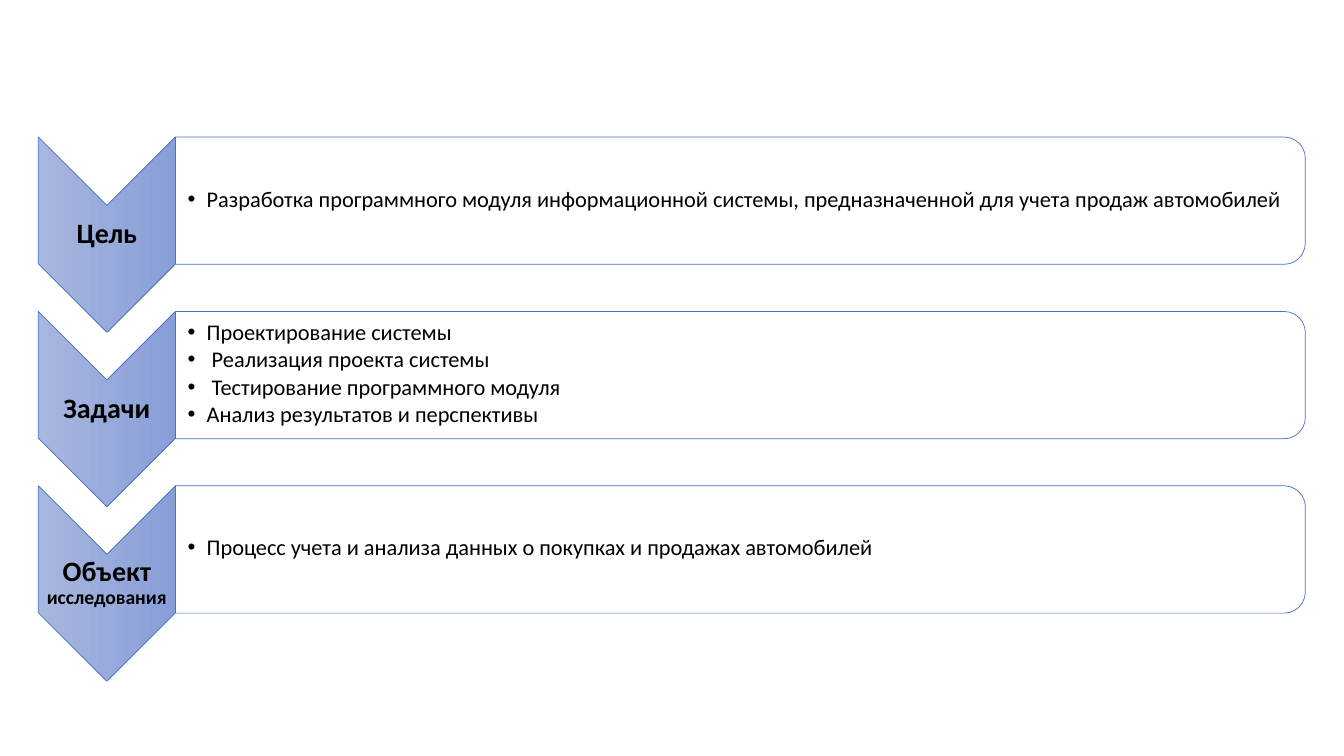
from lxml import etree
from pptx import Presentation
from pptx import util as u
from pptx.dml.color import RGBColor
from pptx.enum import shapes, text
from pptx.oxml.ns import qn

COLORS = {"line": "4472C4", "start": "A8B7DF", "end": "889ED7", "panel": "FFFFFF", "text": "000000"}
FONT = "Calibri"
LEFT, TOP, COLUMN, ROW = 0.38, 1.36, 1.36, 1.73


def color(name):
    return RGBColor.from_string(COLORS[name])


def write(para, words, size=16, bold=False, align=text.PP_ALIGN.LEFT, after=2.4, bullet=None):
    para.alignment = align
    para.line_spacing = 0.9
    para.space_after = u.Pt(after)
    if bullet:
        props = para._p.get_or_add_pPr()
        indent = u.Inches(0.19)
        props.set("marL", str(indent))
        props.set("indent", str(-indent))
        etree.SubElement(props, qn("a:buFont")).set("typeface", "Arial")
        etree.SubElement(props, qn("a:buChar")).set("char", bullet)
    span = para.add_run()
    span.text = words
    span.font.name = FONT
    span.font.size = u.Pt(size)
    span.font.bold = bold
    span.font.color.rgb = color("text")


class Board:
    def __init__(self, deck):
        self.page = deck.slides.add_slide(deck.slide_layouts[6])

    def place(self, column, row, columns, rows):
        return [u.Inches(v) for v in (LEFT + column * COLUMN, TOP + row * ROW, columns * COLUMN, rows * ROW)]

    def turned(self, kind, *cells):
        left, top, width, height = self.place(*cells)
        shift = (width - height) // 2
        shape = self.page.shapes.add_shape(kind, left + shift, top - shift, height, width)
        shape.rotation = 90
        shape.shadow.inherit = False
        shape.line.color.rgb = color("line")
        shape.line.width = u.Pt(0.5)
        return shape

    def chevron(self, row):
        shape = self.turned(shapes.MSO_SHAPE.CHEVRON, 0, row, 1, 1.12)
        shape.fill.gradient()
        shape.fill.gradient_angle = 0
        for stop, name in zip(shape.fill.gradient_stops, ("start", "end")):
            stop.color.rgb = color(name)
        shape._element.spPr.find(qn("a:gradFill")).set("rotWithShape", "0")

    def panel(self, row):
        shape = self.turned(shapes.MSO_SHAPE.ROUND_2_SAME_RECTANGLE, 1, row, 8.24, 0.73)
        shape.fill.solid()
        shape.fill.fore_color.rgb = color("panel")
        fill = shape._element.spPr.find(qn("a:solidFill"))
        etree.SubElement(fill[0], qn("a:alpha")).set("val", "90000")

    def box(self, *cells, inset=0.01):
        frame = self.page.shapes.add_textbox(*self.place(*cells)).text_frame
        frame.word_wrap = True
        frame.vertical_anchor = text.MSO_ANCHOR.MIDDLE
        frame.margin_left = u.Inches(inset)
        frame.margin_top = frame.margin_right = frame.margin_bottom = u.Inches(0.01)
        return frame

    def label(self, row, spans):
        para = self.box(0, row + 0.39, 1, 0.34).paragraphs[0]
        for words, size in spans:
            write(para, words, size=size, bold=True, align=text.PP_ALIGN.CENTER, after=0)

    def bullets(self, row, items):
        frame = self.box(1, row + 0.03, 8.2, 0.66, inset=0.12)
        for index, item in enumerate(items):
            para = frame.add_paragraph() if index else frame.paragraphs[0]
            write(para, item, bullet="•")


SECTIONS = [
    ([("Цель", 20)],
     ["Разработка программного модуля информационной системы, предназначенной для учета продаж автомобилей"]),
    ([("Задачи", 20)],
     ["Проектирование системы", " Реализация проекта системы",
      " Тестирование программного модуля", "Анализ результатов и перспективы"]),
    ([("Объект", 20), (" исследования", 14)],
     ["Процесс учета и анализа данных о покупках и продажах автомобилей"]),
]

deck = Presentation()
deck.slide_width, deck.slide_height = u.Inches(13.33), u.Inches(7.5)
board = Board(deck)
for row, (heading, items) in enumerate(SECTIONS):
    board.chevron(row)
    board.label(row, heading)
    board.panel(row)
    board.bullets(row, items)
deck.save("out.pptx")
